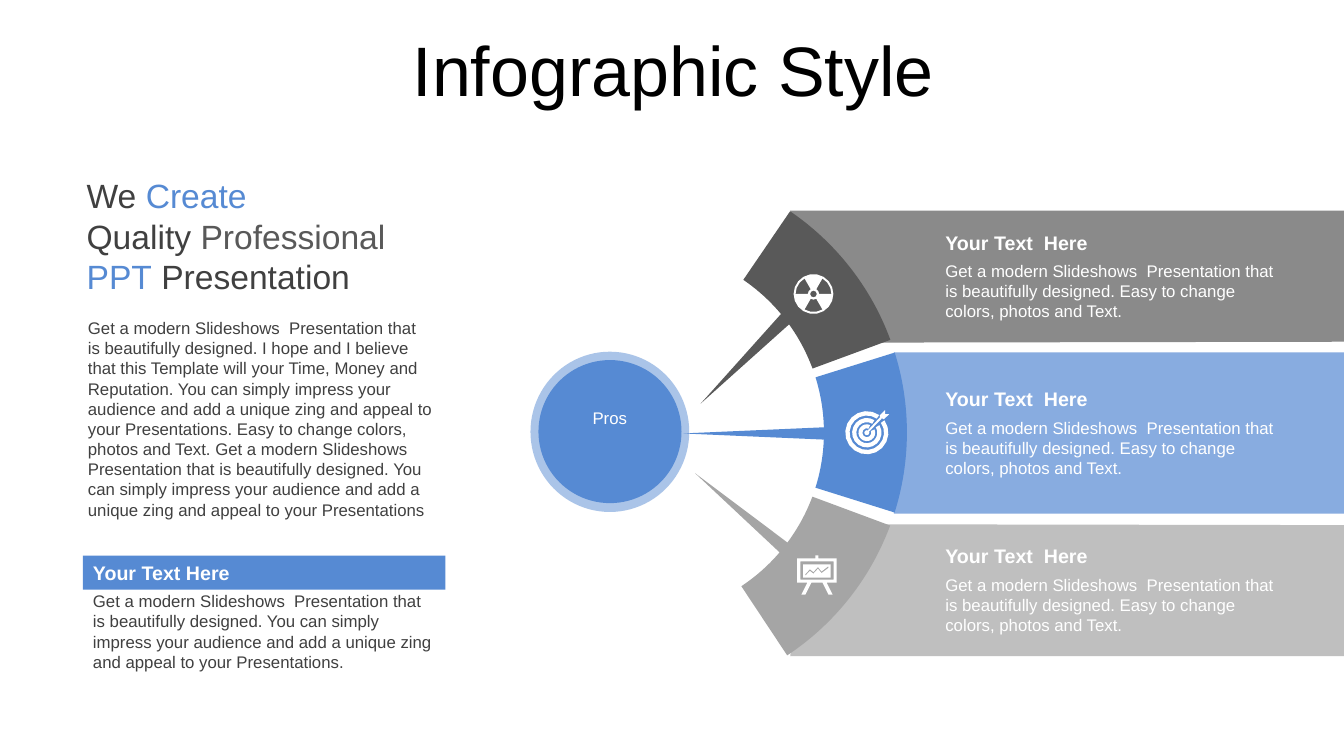
"""Build the infographic slide with three fanned-out text bands."""
import math

import lxml.etree
import pptx
import pptx.dml.color
import pptx.enum.shapes
import pptx.enum.text
import pptx.oxml.ns
import pptx.util

Pt = pptx.util.Pt
MSO_SHAPE = pptx.enum.shapes.MSO_SHAPE
PP_ALIGN = pptx.enum.text.PP_ALIGN
MSO_ANCHOR = pptx.enum.text.MSO_ANCHOR

BLUE, DARK, GRAY = "568AD3", "595959", "A5A5A5"
WHITE, INK, BLACK = "FFFFFF", "404040", "000000"

BAND_TEXT = ("Get a modern Slideshows  Presentation that is beautifully designed. "
             "Easy to change colors, photos and Text.")
INTRO_TEXT = (
    "Get a modern Slideshows  Presentation that is beautifully designed. "
    "I hope and I believe that this Template will your Time, Money and Reputation. "
    "You can simply impress your audience and add a unique zing and appeal to your "
    "Presentations. Easy to change colors, photos and Text. "
    "Get a modern Slideshows  Presentation that is beautifully designed. "
    "You can simply impress your audience and add a unique zing and appeal to your "
    "Presentations")
NOTE_TEXT = ("Get a modern Slideshows  Presentation that is beautifully designed. "
             "You can simply impress your audience and add a unique zing and appeal "
             "to your Presentations.")
HEADLINE = [
    [("We ", INK), ("Create", BLUE)],
    [("Quality ", INK), ("Professional", DARK)],
    [("PPT", BLUE), (" Presentation", INK)],
]


def color(value):
    return pptx.dml.color.RGBColor.from_string(value)


def arc(center, radius, start, end):
    steps = math.ceil(abs(end - start) / (20 if radius > 5 else 45))
    angles = [math.radians(start + (end - start) * i / steps) for i in range(steps + 1)]
    return [(center[0] + radius * math.cos(a), center[1] + radius * math.sin(a))
            for a in angles]


def circle(center, radius):
    return arc(center, radius, 0, 360)[:-1]


def sector(center, inner, outer, start, end):
    return arc(center, outer, start, end) + arc(center, inner, end, start)


def box(left, top, right, bottom):
    return [(left, top), (right, top), (right, bottom), (left, bottom)]


class Canvas:
    def __init__(self, slide, font):
        self.slide = slide
        self.font = font

    def paint(self, shape, fill, opacity=100):
        shape.shadow.inherit = False
        shape.line.fill.background()
        shape.fill.solid()
        shape.fill.fore_color.rgb = color(fill)
        if opacity < 100:
            tag = pptx.oxml.ns.qn("a:srgbClr")
            node = next(shape._element.spPr.iter(tag))
            alpha = lxml.etree.SubElement(node, pptx.oxml.ns.qn("a:alpha"))
            alpha.set("val", str(opacity * 1000))
        return shape

    def preset(self, kind, left, top, width, height, fill, opacity=100):
        shape = self.slide.shapes.add_shape(
            kind, Pt(left), Pt(top), Pt(width), Pt(height))
        return self.paint(shape, fill, opacity)

    def outline(self, contours, fill, opacity=100):
        first, *others = [[(Pt(x), Pt(y)) for x, y in points] for points in contours]
        builder = self.slide.shapes.build_freeform(*first[0], scale=1.0)
        builder.add_line_segments(first[1:], close=True)
        for points in others:
            builder.move_to(*points[0])
            builder.add_line_segments(points[1:], close=True)
        return self.paint(builder.convert_to_shape(), fill, opacity)

    def style(self, paragraph, size, fill=None, bold=False, align=PP_ALIGN.LEFT):
        paragraph.alignment = align
        paragraph.font.name = self.font
        paragraph.font.size = Pt(size)
        paragraph.font.bold = bold
        if fill:
            paragraph.font.color.rgb = color(fill)

    def frame(self, left, top, width, height, anchor=MSO_ANCHOR.TOP):
        shape = self.slide.shapes.add_textbox(Pt(left), Pt(top), Pt(width), Pt(height))
        shape.text_frame.word_wrap = True
        shape.text_frame.vertical_anchor = anchor
        return shape.text_frame

    def text(self, words, left, top, width, height, size, fill, bold=False,
             align=PP_ALIGN.LEFT, anchor=MSO_ANCHOR.TOP):
        frame = self.frame(left, top, width, height, anchor)
        frame.text = words
        self.style(frame.paragraphs[0], size, fill, bold, align)
        return frame

    def headline(self, lines, left, top, width, height, size):
        frame = self.frame(left, top, width, height, MSO_ANCHOR.MIDDLE)
        frame.margin_left = frame.margin_right = Pt(2.9)
        frame.margin_top = frame.margin_bottom = Pt(0)
        for index, line in enumerate(lines):
            paragraph = frame.add_paragraph() if index else frame.paragraphs[0]
            self.style(paragraph, size)
            for words, fill in line:
                run = paragraph.add_run()
                run.text = words
                run.font.color.rgb = color(fill)


def draw_fan(canvas):
    canvas.outline([[(564.5, 150.5), (960, 150.5), (960, 244.1), (574.6, 244.8)]], DARK, 70)
    canvas.outline([[(574.6, 374.4), (960, 375.1), (960, 468.7), (564.5, 468.7)]], GRAY, 70)
    for start, end, fill in [(304.3, 339.77, DARK), (342.65, 17.43, BLUE),
                             (20.38, 56.44, GRAY)]:
        shape = canvas.preset(MSO_SHAPE.BLOCK_ARC, 265.5, 117.7, 382.3, 382.3, fill)
        for index, value in enumerate([start * 0.6, end * 0.6, 0.155]):
            shape.adjustments[index] = value
    for left, top, length, rotation, fill in [(526.3, 214.6, 86.4, 225, DARK),
                                              (537.1, 255.6, 108, 270, BLUE),
                                              (524.9, 322.6, 86.4, 310, GRAY)]:
        shape = canvas.preset(MSO_SHAPE.ISOSCELES_TRIANGLE, left, top, 9.4, length, fill)
        shape.rotation = rotation
    canvas.preset(MSO_SHAPE.RECTANGLE, 638.6, 251.7, 321.4, 115.2, BLUE, 70)
    canvas.preset(MSO_SHAPE.OVAL, 378.9, 251.2, 113.4, 114.5, BLUE, 50)
    canvas.preset(MSO_SHAPE.OVAL, 384.6, 257.2, 102.2, 102.2, BLUE)
    canvas.text("Pros", 386.3, 288, 98.6, 21.6, 12, WHITE, align=PP_ALIGN.CENTER)


def draw_icons(canvas):
    middle = 583.55
    trend = [(575.3, 410), (578.5, 406.6), (581, 408.6), (584.3, 405),
             (586.8, 408.2), (591.8, 404.4)]
    trend += [(x, y + 1.2) for x, y in reversed(trend)]
    legs = [[(middle + side * x, y) for x, y in
             [(4, 416.2), (6.9, 416.2), (11.2, 424.8), (8.3, 424.8)]] for side in (-1, 1)]
    panels = [box(middle - half, top, middle + half, bottom) for half, top, bottom in
              [(14.1, 398.9, 416.2), (11.9, 401, 414), (9.8, 403.2, 412.6),
               (1.1, 396.7, 398.9)]]
    canvas.outline([*panels, trend, *legs], WHITE)

    hub = (581.1, 210)
    blades = [sector(hub, 4, 12.8, start, start + 60) for start in (60, 180, 300)]
    canvas.outline([circle(hub, 14.2), *blades, circle(hub, 2.4)], WHITE)

    bullseye = (619.2, 309.1)
    rings = [sector(bullseye, inner, outer, gap - 45, 315 - gap)
             for inner, outer, gap in [(12.3, 15.4, 10), (7.5, 10.5, 14), (3.2, 6, 22)]]
    dart = [(632.2, 293), (632.2, 295.9), (635.1, 295.9), (631.4, 299.5), (630, 298.8),
            (620.9, 308.2), (620, 307.3), (628.6, 298.1), (628.6, 296.6)]
    canvas.outline([*rings, circle(bullseye, 1.8), dart], WHITE)


def draw_texts(canvas):
    for row in range(3):
        top = 161.1 + 112 * row
        canvas.text(BAND_TEXT, 668.2, top + 21.6, 256.3, 51.1, 12, WHITE)
        canvas.text("Your Text  Here", 668.2, top, 256.3, 24.5, 14, WHITE, bold=True)
    canvas.text(INTRO_TEXT, 55.7, 223.5, 260.6, 152.6, 12, INK)
    canvas.text(NOTE_TEXT, 59.3, 418.6, 260.6, 65.5, 12, INK)
    banner = canvas.preset(MSO_SHAPE.RECTANGLE, 59.3, 396.9, 258.8, 24.3, BLUE)
    banner.text_frame.text = "Your Text Here"
    canvas.style(banner.text_frame.paragraphs[0], 14, WHITE, bold=True)
    canvas.headline(HEADLINE, 59, 124.9, 260.6, 87.1, 24)


def main():
    presentation = pptx.Presentation()
    presentation.slide_width, presentation.slide_height = Pt(960), Pt(540)
    slide = presentation.slides.add_slide(presentation.slide_layouts[6])
    canvas = Canvas(slide, "Arial")
    title = canvas.text("Infographic Style", 25.4, 26.4, 911.5, 56.9, 50, BLACK,
                        align=PP_ALIGN.CENTER, anchor=MSO_ANCHOR.MIDDLE)
    title.margin_top = Pt(7.2)
    title.paragraphs[0].line_spacing = 0.7
    draw_fan(canvas)
    draw_icons(canvas)
    draw_texts(canvas)
    presentation.save("out.pptx")


if __name__ == "__main__":
    main()
